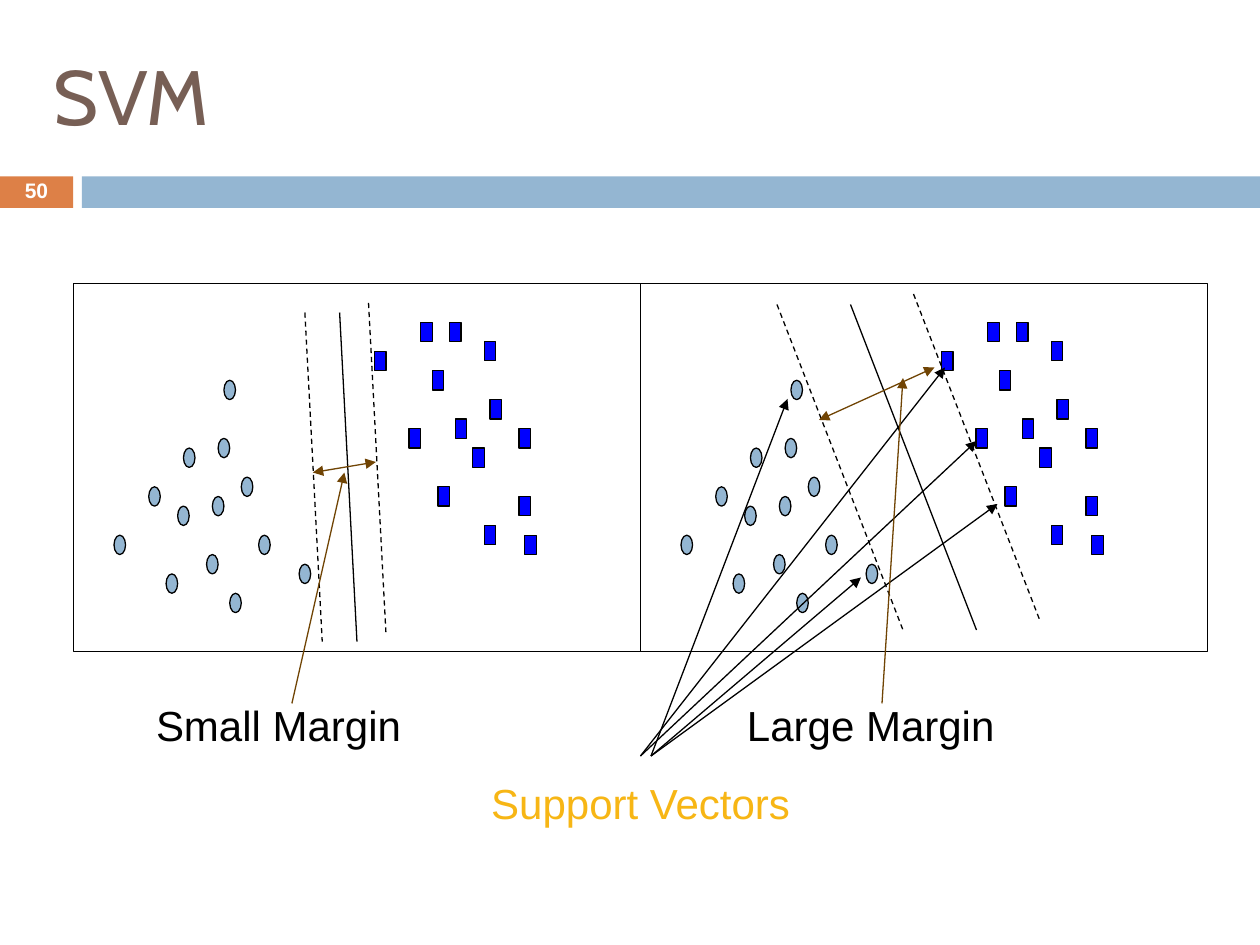
"""Build the SVM slide that sets a small margin beside a large one."""
from dataclasses import dataclass

from lxml.etree import SubElement
from pptx import Presentation
from pptx.dml.color import RGBColor
from pptx.enum.dml import MSO_LINE
from pptx.enum.shapes import MSO_CONNECTOR, MSO_SHAPE
from pptx.enum.text import MSO_ANCHOR, MSO_AUTO_SIZE, PP_ALIGN
from pptx.oxml.ns import qn
from pptx.util import Inches, Pt

COLORS = {
    "orange": "DD8047", "sky": "94B6D2", "white": "FFFFFF", "title": "775F55",
    "black": "000000", "blue": "0000FF", "brown": "704404", "gold": "F7B615",
}


@dataclass(frozen=True)
class Grid:
    left: float
    top: float
    col: float
    row: float

    def spot(self, x: float, y: float) -> tuple:
        return Inches(self.left + x * self.col), Inches(self.top + y * self.row)

    def size(self, cols: float, rows: float) -> tuple:
        return Inches(cols * self.col), Inches(rows * self.row)


@dataclass(frozen=True)
class Line:
    start: tuple
    end: tuple
    color: str = "black"
    dash: bool = False
    ends: tuple = ()


@dataclass(frozen=True)
class Label:
    text: str
    box: tuple
    size: int
    color: str
    font: str = "Arial"
    bold: bool = False
    wrap: bool = False
    align: PP_ALIGN = PP_ALIGN.LEFT
    anchor: MSO_ANCHOR = MSO_ANCHOR.TOP
    space: float = 1.0


COLS, ROWS = 98, 38
WIDE = 4.5
PANELS = [Grid(7 / 12 + WIDE * i, 2.25, WIDE / COLS, 2.92 / ROWS) for i in range(2)]
PAGE = Grid(0, 0, 1 / 12, 1 / 12)
INCH = Grid(0, 0, 1, 1)

DOTS = [(16, 30), (18, 23), (7, 26), (13, 21), (23, 28), (19, 17), (24, 22),
        (25, 16), (29, 20), (32, 26), (27, 32), (39, 29), (26, 10)]
BLOCKS = [(58, 15), (52, 7), (60, 4), (63, 21), (62, 9), (66, 14), (65, 4),
          (71, 6), (69, 17), (72, 12), (71, 25), (77, 15), (77, 22), (78, 26)]
MARKS = [(MSO_SHAPE.OVAL, "sky", DOTS), (MSO_SHAPE.RECTANGLE, "blue", BLOCKS)]

STEEP = [
    Line((51, 2), (54, 36), dash=True),
    Line((40, 3), (43, 37), dash=True),
    Line((46, 3), (49, 37)),
]
SLANT = [
    Line((74, 29), (86, 60), dash=True),
    Line((87, 28), (99, 59), dash=True),
    Line((81, 29), (93, 60)),
]
TAIL, BOTH = ("tailEnd",), ("headEnd", "tailEnd")
HINTS = [
    Line((start, 72), end, ends=TAIL)
    for start, end in [(61, (90, 35)), (61, (93, 42)), (62, (95, 48)),
                       (62, (82, 55)), (62, (75, 38))]
]
GAPS = [
    Line((29.8, 45), (35.8, 44), "brown", ends=BOTH),
    Line((27.8, 67), (32.8, 45), "brown", ends=TAIL),
    Line((78, 40), (89, 35), "brown", ends=BOTH),
    Line((84, 67), (86, 36), "brown", ends=TAIL),
]
LABELS = [
    Label("50", (0, 1.39, 0.58, 0.27), 12, "white", bold=True, wrap=True,
          align=PP_ALIGN.CENTER, anchor=MSO_ANCHOR.MIDDLE, space=0.8),
    Label("SVM", (0.33, 0.42, 9.42, 0.67), 44, "title", "Cabin", wrap=True,
          anchor=MSO_ANCHOR.MIDDLE),
    Label("Support Vectors", (3.8, 6.12, 2.59, 0.5), 24, "gold"),
    Label("Small Margin", (1.14, 5.5, 2.16, 0.5), 24, "black"),
    Label("Large Margin", (5.83, 5.5, 2.18, 0.5), 24, "black"),
]


def shade(name: str) -> RGBColor:
    return RGBColor.from_string(COLORS[name])


def draw_shape(slide, grid: Grid, kind, box: tuple, fill: str = "", edge: str = "") -> None:
    x, y, cols, rows = box
    shape = slide.shapes.add_shape(kind, *grid.spot(x, y), *grid.size(cols, rows))
    shape.shadow.inherit = False
    if fill:
        shape.fill.solid()
        shape.fill.fore_color.rgb = shade(fill)
    else:
        shape.fill.background()
    if edge:
        shape.line.color.rgb = shade(edge)
        shape.line.width = Pt(0.75)
    else:
        shape.line.fill.background()


def draw_line(slide, grid: Grid, line: Line) -> None:
    link = slide.shapes.add_connector(
        MSO_CONNECTOR.STRAIGHT, *grid.spot(*line.start), *grid.spot(*line.end))
    link.line.color.rgb = shade(line.color)
    link.line.width = Pt(0.75)
    if line.dash:
        link.line.dash_style = MSO_LINE.DASH
    props = link._element.spPr
    for end in line.ends:
        SubElement(props.find(qn("a:ln")), qn(f"a:{end}"), type="triangle")
    SubElement(props, qn("a:effectLst"))


def draw_label(slide, label: Label) -> None:
    frame = slide.shapes.add_textbox(*map(Inches, label.box)).text_frame
    frame.word_wrap = label.wrap
    if not label.wrap:
        frame.auto_size = MSO_AUTO_SIZE.SHAPE_TO_FIT_TEXT
    frame.vertical_anchor = label.anchor
    para = frame.paragraphs[0]
    para.text = label.text
    para.alignment = label.align
    para.line_spacing = label.space
    para.font.name = label.font
    para.font.size = Pt(label.size)
    para.font.bold = label.bold
    para.font.color.rgb = shade(label.color)


def draw_panel(slide, grid: Grid) -> None:
    for kind, fill, spots in MARKS:
        for x, y in spots:
            draw_shape(slide, grid, kind, (x, y, 2, 2), fill, "black")
    draw_shape(slide, grid, MSO_SHAPE.RECTANGLE, (0, 0, COLS, ROWS), edge="black")


def main() -> None:
    deck = Presentation()
    deck.slide_width, deck.slide_height = Inches(10), Inches(7.5)
    slide = deck.slides.add_slide(deck.slide_layouts[6])
    for left, width, fill in [(0, 0.58, "orange"), (0.65, 9.35, "sky")]:
        draw_shape(slide, INCH, MSO_SHAPE.RECTANGLE, (left, 1.4, width, 0.25), fill)
    for grid in PANELS:
        draw_panel(slide, grid)
    for grid, lines in [(PANELS[0], STEEP), (PAGE, SLANT + HINTS + GAPS)]:
        for line in lines:
            draw_line(slide, grid, line)
    for label in LABELS:
        draw_label(slide, label)
    deck.save("out.pptx")


if __name__ == "__main__":
    main()
